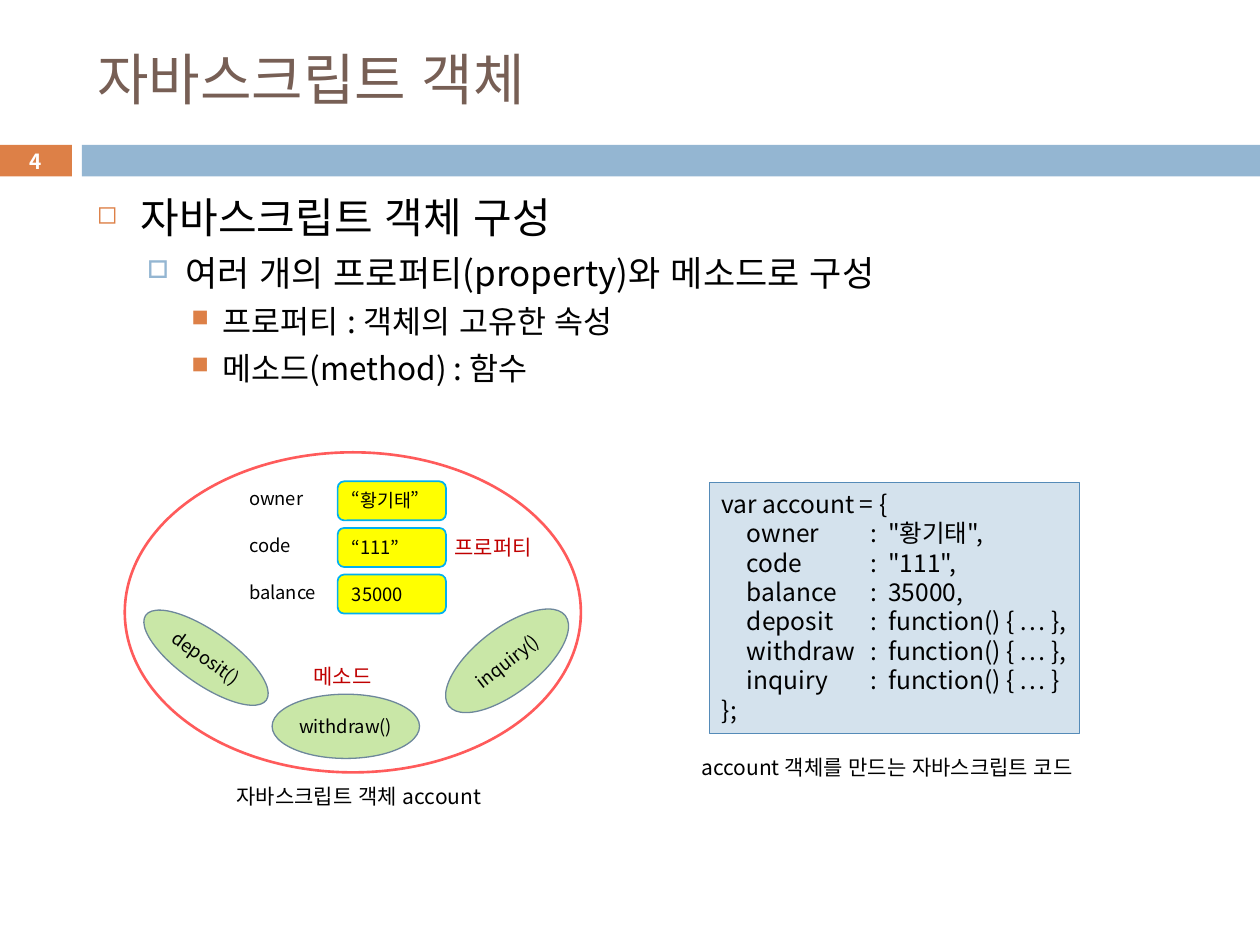
import pptx
import pptx.util
import pptx.dml.color
import pptx.enum.lang
import pptx.enum.shapes
import pptx.enum.text
import pptx.oxml
import pptx.oxml.ns

Inches, Pt = pptx.util.Inches, pptx.util.Pt
SHAPE = pptx.enum.shapes.MSO_SHAPE
ANCHOR = pptx.enum.text.MSO_ANCHOR
ALIGN = pptx.enum.text.PP_ALIGN
KOREAN = pptx.enum.lang.MSO_LANGUAGE_ID.KOREAN
NS = pptx.oxml.ns.nsdecls("a")

FONT = "Noto Sans CJK KR"
LINE_RATIO = 1.2
COLORS = {
    "title": "775F55", "text": "000000", "white": "FFFFFF", "red": "C00000",
    "orange": "DD8047", "blue": "94B6D2",
    "code": "D4E2ED", "code_line": "558BB8",
    "method": "C9E7A7", "method_line": "6D879B",
    "object_line": "FF5B5B", "value": "FFFF00", "value_line": "00B0F0",
}
# indent, hanging, space before, bullet, bullet colour, bullet percent, size
LEVELS = [
    (0.35, 0.35, 7, "◻", "orange", 60, 24),
    (0.7, 0.3, 5.5, "□", "blue", 70, 20),
    (1, 0.25, 5, "■", "orange", 75, 18),
]
OUTLINE = [
    (0, "자바스크립트 객체 구성"),
    (1, "여러 개의 프로퍼티(property)와 메소드로 구성"),
    (2, "프로퍼티 : 객체의 고유한 속성"),
    (2, "메소드(method) : 함수"),
]
CODE = [
    "var account = {",
    "\towner\t:  \"황기태\",",
    "\tcode\t:  \"111\",",
    "\tbalance\t:  35000,",
    "\tdeposit\t:  function() { … },",
    "\twithdraw\t:  function() { … },",
    "\tinquiry\t:  function() { … }",
    "};",
]
PROPERTIES = [("owner", "“황기태”"), ("code", "“111”"), ("balance", "35000")]
METHODS = [
    ("deposit()", 1.05, 5.01, 0.42, 35.1),
    ("withdraw()", 2.16, 5.51, 0.51, 0),
    ("inquiry()", 3.44, 4.99, 0.51, 322.2),
]
CAPTIONS = [
    ("자바스크립트 객체 account", 1.78, 6.17, 2.27, "text"),
    ("프로퍼티", 3.51, 4.19, 0.88, "red"),
    ("메소드", 2.39, 5.22, 0.71, "red"),
    ("account 객체를 만드는 자바스크립트 코드", 5.47, 5.94, 3.46, "text"),
]


def rgb(name):
    return pptx.dml.color.RGBColor.from_string(COLORS[name])


def add_ppr(p, xml):
    """Append one DrawingML element to the paragraph properties."""
    p._p.get_or_add_pPr().append(pptx.oxml.parse_xml(xml))


def style(p, size, color="text", align=ALIGN.LEFT, bold=False):
    p.alignment = align
    p.line_spacing = Pt(round(size * LINE_RATIO, 1))
    p.font.size, p.font.name, p.font.bold = Pt(size), FONT, bold
    p.font.language_id = KOREAN
    p.font.color.rgb = rgb(color)
    # Korean glyphs use the East Asian font slot
    latin = p._p.pPr.find(".//" + pptx.oxml.ns.qn("a:latin"))
    latin.addnext(pptx.oxml.parse_xml(f'<a:ea {NS} typeface="{FONT}"/>'))


def add_text(slide, text, x, y, w, h, size, color="text"):
    tf = slide.shapes.add_textbox(Inches(x), Inches(y), Inches(w), Inches(h)).text_frame
    tf.word_wrap = True
    tf.text = text
    style(tf.paragraphs[0], size, color)


def add_box(slide, kind, x, y, w, h, fill=None, line=None, width=0.75):
    sp = slide.shapes.add_shape(kind, Inches(x), Inches(y), Inches(w), Inches(h))
    sp.shadow.inherit = False
    if fill:
        sp.fill.solid()
        sp.fill.fore_color.rgb = rgb(fill)
    else:
        sp.fill.background()
    if line:
        sp.line.color.rgb = rgb(line)
        sp.line.width = Pt(width)
    else:
        sp.line.fill.background()
    return sp


def add_header(slide):
    title = slide.shapes.title
    title.left, title.top = Inches(0.67), Inches(0.25)
    title.width, title.height = Inches(8.92), Inches(0.74)
    tf = title.text_frame
    tf.text = "자바스크립트 객체"
    tf.auto_size = pptx.enum.text.MSO_AUTO_SIZE.NONE
    tf.vertical_anchor = ANCHOR.MIDDLE
    style(tf.paragraphs[0], 32, "title")

    # Band with the page number at its left end
    number = add_box(slide, SHAPE.RECTANGLE, -0.01, 1.15, 0.58, 0.25, "orange")
    add_box(slide, SHAPE.RECTANGLE, 0.65, 1.15, 9.35, 0.25, "blue")
    tf = number.text_frame
    tf.margin_top = tf.margin_bottom = 0
    tf.text = "4"
    style(tf.paragraphs[0], 11.9, "white", ALIGN.CENTER, True)


def add_outline(slide):
    tf = slide.shapes.add_textbox(
        Inches(0.67), Inches(1.47), Inches(8.92), Inches(5.51)).text_frame
    tf.word_wrap = True
    for i, (level, text) in enumerate(OUTLINE):
        p = tf.add_paragraph() if i else tf.paragraphs[0]
        indent, hanging, before, bullet, color, percent, size = LEVELS[level]
        p.text, p.level = text, level
        ppr = p._p.get_or_add_pPr()
        ppr.set("marL", str(Inches(indent)))
        ppr.set("indent", str(-Inches(hanging)))
        add_ppr(p, f'<a:buClr {NS}><a:srgbClr val="{COLORS[color]}"/></a:buClr>')
        add_ppr(p, f'<a:buSzPct {NS} val="{percent * 1000}"/>')
        add_ppr(p, f'<a:buChar {NS} char="{bullet}"/>')
        if i:
            p.space_before = Pt(before)
        style(p, size)


def add_code(slide):
    tf = add_box(slide, SHAPE.RECTANGLE, 5.63, 3.83, 2.94, 1.99,
                 "code", "code_line").text_frame
    tf.vertical_anchor = ANCHOR.TOP
    tf.margin_right = 0
    stops = "".join(f'<a:tab pos="{Inches(pos)}" algn="l"/>' for pos in (0.2, 1.18))
    for i, text in enumerate(CODE):
        p = tf.add_paragraph() if i else tf.paragraphs[0]
        p.text = text
        add_ppr(p, f"<a:tabLst {NS}>{stops}</a:tabLst>")
        style(p, 14)


def add_method(slide, text, x, y, h, angle):
    sp = add_box(slide, SHAPE.OVAL, x, y, 1.17, h, "method", "method_line")
    sp.rotation = angle
    tf = sp.text_frame
    tf.margin_left = tf.margin_right = Inches(0.04)
    tf.word_wrap = False
    tf.text = text
    style(tf.paragraphs[0], 10.5, align=ALIGN.CENTER)


def add_property(slide, name, value, y):
    add_text(slide, name, 1.88, y, 0.86, 0.31, 10.5)
    tf = add_box(slide, SHAPE.ROUNDED_RECTANGLE, 2.68, y, 0.86, 0.31,
                 "value", "value_line", 1).text_frame
    tf.vertical_anchor = ANCHOR.TOP
    # The quoted name needs the full width to stay on one line
    tf.margin_right = 0
    tf.text = value
    style(tf.paragraphs[0], 10.5)


def main():
    prs = pptx.Presentation()
    prs.slide_width, prs.slide_height = Inches(10), Inches(7.5)
    slide = prs.slides.add_slide(prs.slide_layouts[5])
    add_header(slide)
    add_outline(slide)
    add_code(slide)
    # Account object: outer ellipse, methods and properties
    add_box(slide, SHAPE.OVAL, 0.99, 3.59, 3.62, 2.54, line="object_line", width=1.5)
    for method in METHODS:
        add_method(slide, *method)
    for i, (name, value) in enumerate(PROPERTIES):
        add_property(slide, name, value, 3.82 + 0.37 * i)
    # Captions
    for text, x, y, w, color in CAPTIONS:
        add_text(slide, text, x, y, w, 0.3, 12, color)
    prs.save("out.pptx")


if __name__ == "__main__":
    main()
